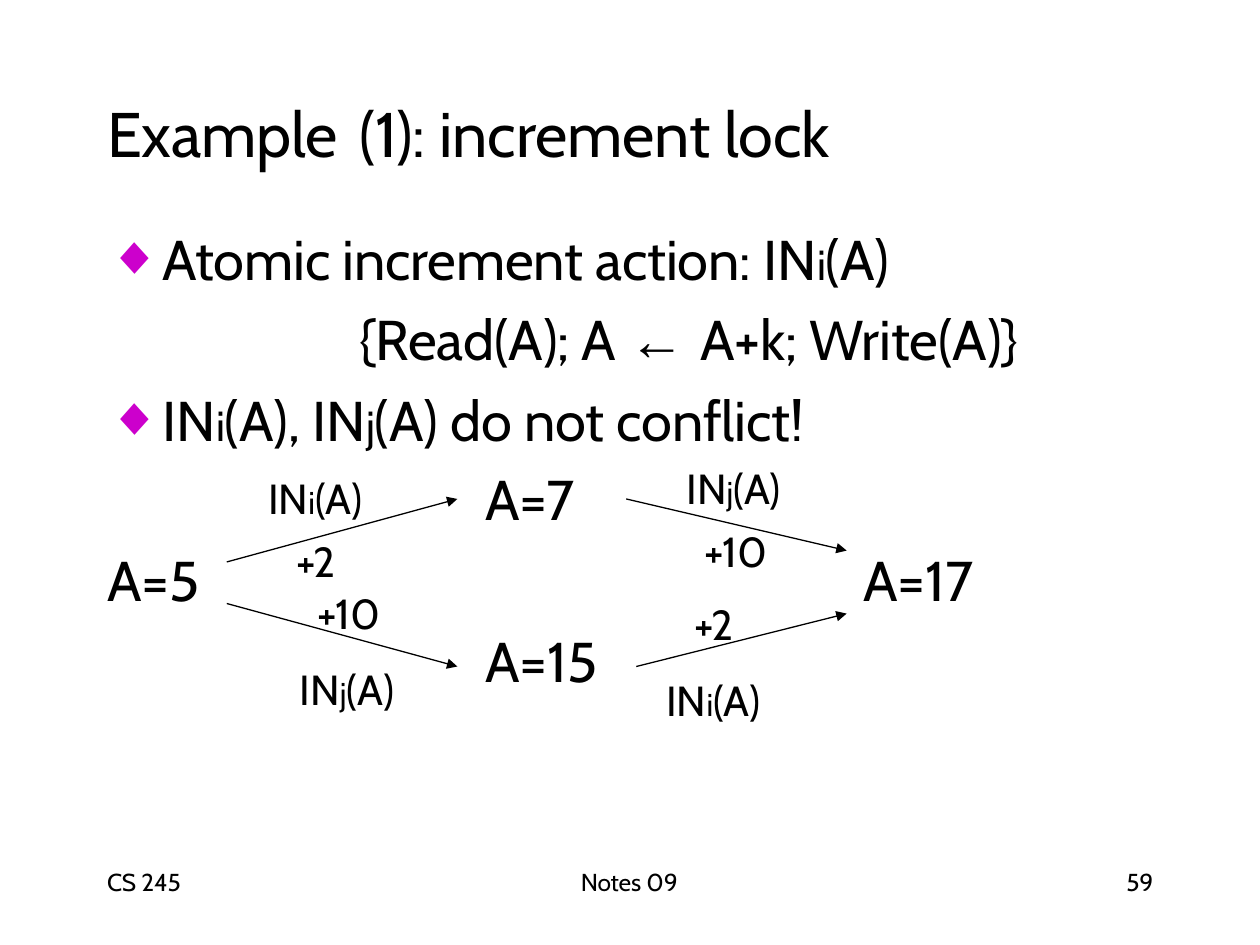
from lxml.etree import SubElement
from pptx import Presentation
from pptx.dml.color import RGBColor
from pptx.enum.shapes import MSO_CONNECTOR
from pptx.oxml.ns import qn
from pptx.util import Inches, Pt

COLORS = {"text": "000000", "bullet": "CC00CC"}
FONT = "Cabin"
SYMBOL_FONT = "Arial"
SUBSCRIPT_SIZES = {32: 24, 24: 18}


def set_indent(p, left, hanging=0):
    pPr = p._p.get_or_add_pPr()
    pPr.set("marL", str(Inches(left)))
    pPr.set("indent", str(-Inches(hanging)))


def add_bullet(p):
    pPr = p._p.get_or_add_pPr()
    color = SubElement(pPr, qn("a:buClr"))
    SubElement(color, qn("a:srgbClr"), val=COLORS["bullet"])
    SubElement(pPr, qn("a:buSzPct"), val="97000")
    SubElement(pPr, qn("a:buFont"), typeface=SYMBOL_FONT)
    SubElement(pPr, qn("a:buChar"), char="◆")


def add_tab(p, position):
    tabs = SubElement(p._p.get_or_add_pPr(), qn("a:tabLst"))
    SubElement(tabs, qn("a:tab"), pos=str(Inches(position)), algn="l")


def add_runs(p, text, size):
    for i, part in enumerate(text.split("|")):
        r = p.add_run()
        r.text = part
        is_symbol = "←" in part
        is_subscript = i % 2 == 1 and not is_symbol
        r.font.size = Pt(SUBSCRIPT_SIZES[size] if is_subscript else size)
        r.font.name = SYMBOL_FONT if is_symbol else FONT
        r.font.italic = is_symbol
        r.font.color.rgb = RGBColor.from_string(COLORS["text"])
        r._r.get_or_add_rPr().set("spc", "-10")


def add_text_box(s, left, top, width, height, inset=0.01):
    tf = s.shapes.add_textbox(
        Inches(left), Inches(top), Inches(width), Inches(height)).text_frame
    tf.word_wrap = True
    tf.margin_left = tf.margin_right = tf.margin_bottom = 0
    tf.margin_top = Inches(inset)
    return tf


def add_line_of_text(s, box, text, size, indent=0.01):
    p = add_text_box(s, *box).paragraphs[0]
    set_indent(p, indent)
    add_runs(p, text, size)
    return p


def add_paragraphs(tf, size, items):
    for i, (text, indent, space, bulleted) in enumerate(items):
        p = tf.add_paragraph() if i else tf.paragraphs[0]
        set_indent(p, indent, 0.44 if bulleted else 0)
        if space:
            p.space_before = Pt(space)
        if bulleted:
            add_bullet(p)
        add_runs(p, text, size)


def add_arrow(s, x1, y1, x2, y2):
    line = s.shapes.add_connector(
        MSO_CONNECTOR.STRAIGHT, Inches(x1), Inches(y1), Inches(x2), Inches(y2))
    line.line.width = Pt(0.75)
    line.line.color.rgb = RGBColor.from_string(COLORS["text"])
    SubElement(line.line._get_or_add_ln(), qn("a:tailEnd"), type="triangle")
    SubElement(line._element.spPr, qn("a:effectLst"))


def main():
    prs = Presentation()
    prs.slide_width, prs.slide_height = Inches(10), Inches(7.5)
    s = prs.slides.add_slide(prs.slide_layouts[6])

    title = add_line_of_text(
        s, (0.84, 0.74, 6.25, 0.63), "Example\t(1): increment lock", 36)
    add_tab(title, 2.03)

    add_paragraphs(add_text_box(s, 0.84, 1.66, 8.07, 1.94, 0.12), 32, [
        ("Atomic increment action: IN|i|(A)", 0.45, 0, True),
        ("{Read(A); A |← |A+k; Write(A)}", 2.01, 7.5, False),
        ("IN|i|(A), IN|j|(A) do not conflict!", 0.45, 7.8, True),
    ])

    for text, left, top in [("A=7", 3.84, 3.68), ("A=5", 0.84, 4.32),
                            ("A=17", 6.84, 4.32), ("A=15", 3.84, 4.96)]:
        add_line_of_text(s, (left, top, 1.1, 0.56), text, 32)

    for ends in [(1.8, 4.46, 3.63, 3.96), (1.8, 4.79, 3.63, 5.29),
                 (4.97, 3.96, 6.72, 4.37), (5.05, 5.29, 6.72, 4.87)]:
        add_arrow(s, *ends)

    add_paragraphs(add_text_box(s, 2.12, 3.64, 1.15, 2.04, 0.11), 24, [
        ("IN|i|(A)", 0.01, 0, False),
        ("+2", 0.23, 7.2, False),
        ("+10", 0.4, 1.1, False),
        ("IN|j|(A)", 0.26, 14.4, False),
    ])
    add_paragraphs(add_text_box(s, 5.28, 3.56, 1.06, 2.21, 0.11), 24, [
        ("IN|j|(A)", 0.17, 0, False),
        ("+10", 0.31, 7.2, False),
        ("+2", 0.23, 13.2, False),
        ("IN|i|(A)", 0.01, 14.4, False),
    ])

    for text, left, width, indent in [("CS 245", 0.84, 0.63, 0.01),
                                      ("Notes 09", 4.6, 0.79, 0.01),
                                      ("59", 8.79, 0.4, 0.15)]:
        add_line_of_text(s, (left, 6.87, width, 0.26), text, 14, indent)

    prs.save("out.pptx")


if __name__ == "__main__":
    main()
